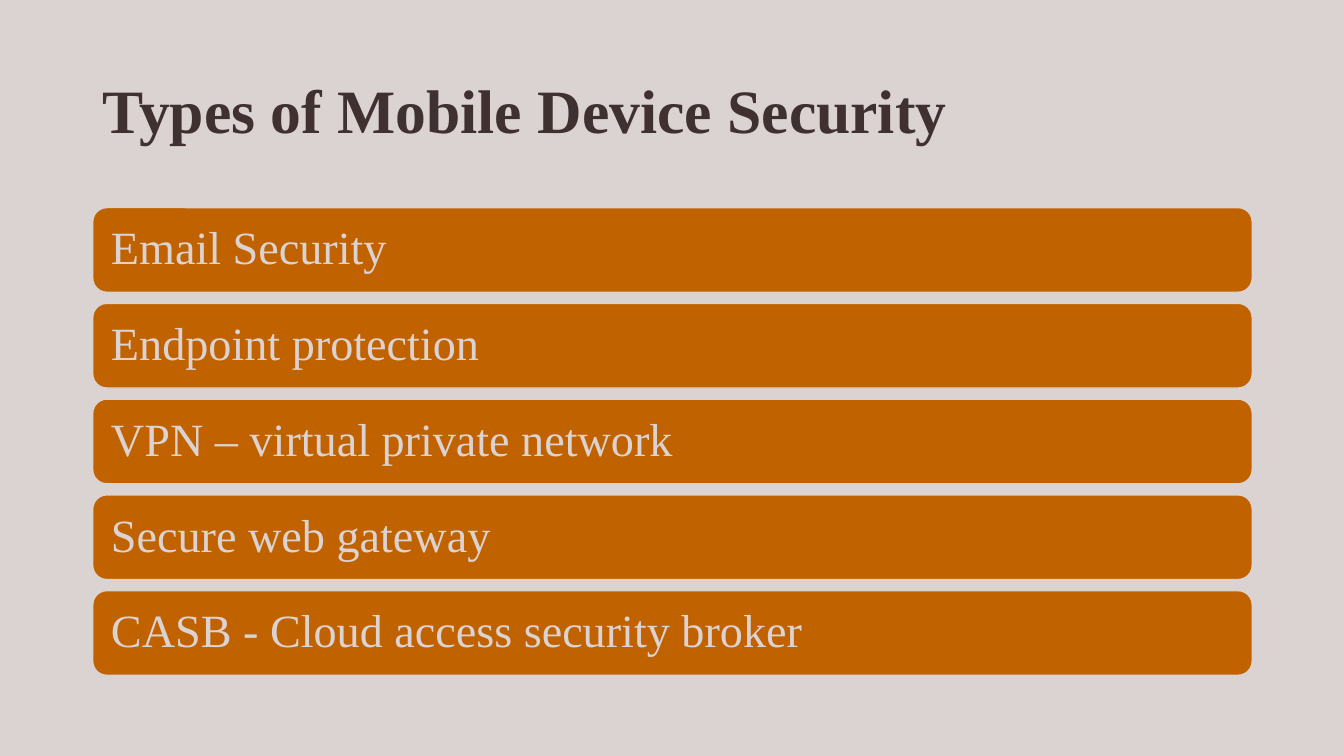
from pptx import Presentation
from pptx import util as u
from pptx.dml.color import RGBColor
from pptx.enum import shapes, text


def color(value):
    return RGBColor.from_string(value)


def add_text(sp, words, size, ink, inset, bold=False):
    tf = sp.text_frame
    tf.word_wrap = True
    tf.vertical_anchor = text.MSO_ANCHOR.MIDDLE
    tf.margin_left = tf.margin_right = u.Inches(inset)
    tf.margin_top = tf.margin_bottom = u.Inches(min(inset, 0.14))
    p = tf.paragraphs[0]
    p.alignment = text.PP_ALIGN.LEFT
    p.line_spacing = 0.9
    r = p.add_run()
    r.text = words
    r.font.name = "Times New Roman"
    r.font.size = u.Pt(size)
    r.font.bold = bold
    r.font.color.rgb = color(ink)


BACKGROUND = "DBD2D2"
LEFT, WIDTH = 0.92, 11.5
BAR_TOP, BAR_HEIGHT, BAR_STEP = 2.06, 0.84, 0.95

prs = Presentation()
prs.slide_width = u.Inches(13.33)
prs.slide_height = u.Inches(7.5)
s = prs.slides.add_slide(prs.slide_layouts[6])
s.background.fill.solid()
s.background.fill.fore_color.rgb = color(BACKGROUND)

title = s.shapes.add_textbox(u.Inches(LEFT), u.Inches(0.4), u.Inches(WIDTH), u.Inches(1.45))
add_text(title, "Types of Mobile Device Security", 44, "3F3130", 0.1, bold=True)

security_types = [
    "Email Security",
    "Endpoint protection",
    "VPN – virtual private network",
    "Secure web gateway",
    "CASB - Cloud access security broker",
]
for i, name in enumerate(security_types):
    sp = s.shapes.add_shape(
        shapes.MSO_SHAPE.ROUNDED_RECTANGLE,
        u.Inches(LEFT), u.Inches(BAR_TOP + i * BAR_STEP),
        u.Inches(WIDTH), u.Inches(BAR_HEIGHT),
    )
    sp.shadow.inherit = False
    sp.fill.solid()
    sp.fill.fore_color.rgb = color("C06200")
    sp.line.color.rgb = color(BACKGROUND)
    sp.line.width = u.Pt(1)
    add_text(sp, name, 33, BACKGROUND, 0.14)

prs.save("out.pptx")
